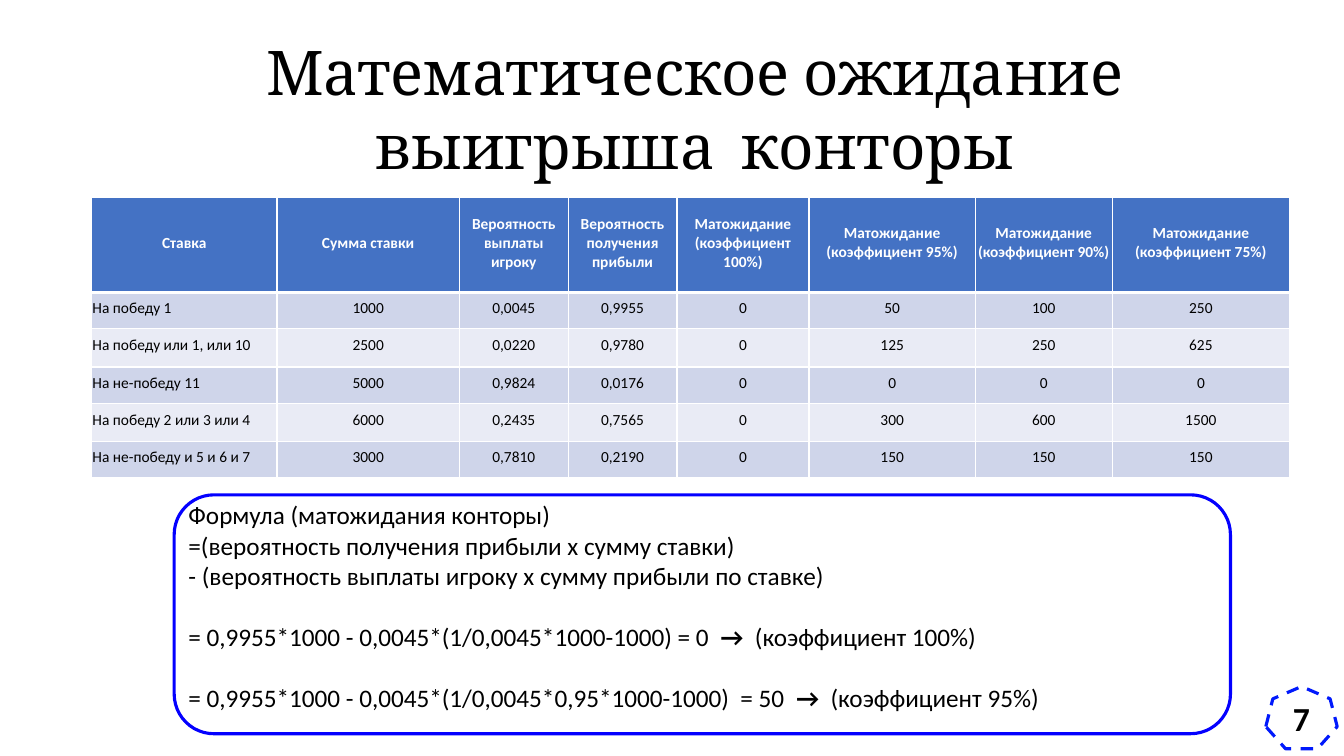
from lxml.etree import SubElement
from pptx import Presentation
from pptx.dml.color import RGBColor
from pptx.enum.dml import MSO_LINE
from pptx.enum.shapes import MSO_SHAPE
from pptx.enum.text import MSO_ANCHOR, PP_ALIGN
from pptx.oxml.ns import qn
from pptx.util import Cm, Pt

BLACK = RGBColor(0x00, 0x00, 0x00)
WHITE = RGBColor(0xFF, 0xFF, 0xFF)
HEADER_BLUE = RGBColor(0x44, 0x72, 0xC4)
BAND_DARK = RGBColor(0xCF, 0xD5, 0xEA)
BAND_LIGHT = RGBColor(0xE9, 0xEB, 0xF5)
FRAME_BLUE = RGBColor(0x04, 0x00, 0xFF)
BADGE_BLUE = RGBColor(0x00, 0x19, 0xFC)

COLUMN_WIDTHS = [4.67, 4.6, 2.74, 2.74, 3.33, 4.19, 3.45, 4.47]
ROW_HEIGHTS = [2.39, 0.91, 0.97, 0.91, 0.97, 0.91]
HEADERS = [
    "Ставка",
    "Сумма ставки",
    "Вероятность\nвыплаты игроку",
    "Вероятность\nполучения прибыли",
] + [f"Матожидание\n(коэффициент {rate}%)" for rate in (100, 95, 90, 75)]
BETS = [
    ["На победу 1", "1000", "0,0045", "0,9955", "0", "50", "100", "250"],
    ["На победу или 1, или 10", "2500", "0,0220", "0,9780", "0", "125", "250", "625"],
    ["На не-победу 11", "5000", "0,9824", "0,0176", "0", "0", "0", "0"],
    ["На победу 2 или 3 или 4", "6000", "0,2435", "0,7565", "0", "300", "600", "1500"],
    ["На не-победу и 5 и 6 и 7", "3000", "0,7810", "0,2190", "0", "150", "150", "150"],
]
FORMULA_LINES = [
    (0, ["Формула (матожидания конторы)"]),
    (0, ["=(вероятность получения прибыли x сумму ставки) "]),
    (0, ["- (вероятность выплаты игроку x сумму прибыли по ставке)"]),
    (22, ["= 0,9955*1000 - 0,0045*(1/0,0045*1000-1000) = 0  ", "→ ", " (коэффициент 100%)"]),
    (22, ["= 0,9955*1000 - 0,0045*(1/0,0045*0,95*1000-1000)  = 50  ", "→", "  (коэффициент 95%)"]),
]


def style_paragraph(paragraph, size, name="Calibri", color=BLACK, bold=None,
                    align=PP_ALIGN.LEFT):
    paragraph.alignment = align
    font = paragraph.font
    font.size, font.name, font.bold = Pt(size), name, bold
    font.color.rgb = color


def add_outlined_shape(page, kind, left, top, width, height, color):
    shape = page.shapes.add_shape(kind, Cm(left), Cm(top), Cm(width), Cm(height))
    shape.shadow.inherit = False
    shape.fill.solid()
    shape.fill.fore_color.rgb = WHITE
    shape.line.color.rgb = color
    shape.line.width = Pt(2.25)
    return shape


def set_title(page, text):
    title = page.shapes.title
    title.left, title.top, title.width, title.height = Cm(4.6), Cm(0.74), Cm(25.83), Cm(4.01)
    title.text_frame.vertical_anchor = MSO_ANCHOR.TOP
    paragraph = title.text_frame.paragraphs[0]
    paragraph.text = text
    style_paragraph(paragraph, 44, "Cambria", align=PP_ALIGN.CENTER)


def set_border(cell, side, points):
    line = SubElement(cell._tc.get_or_add_tcPr(), qn(f"a:ln{side}"), w=str(Pt(points)))
    fill = SubElement(line, qn("a:solidFill"))
    SubElement(fill, qn("a:srgbClr"), val=str(WHITE))


def fill_cell(cell, text, row, column):
    is_header = row == 0
    cell.margin_left = cell.margin_right = cell.margin_top = Cm(0.02)
    cell.margin_bottom = Cm(0.13)
    cell.vertical_anchor = MSO_ANCHOR.MIDDLE
    paragraph = cell.text_frame.paragraphs[0]
    paragraph.text = text
    align = PP_ALIGN.LEFT if column == 0 and not is_header else PP_ALIGN.CENTER
    style_paragraph(paragraph, 11, color=WHITE if is_header else BLACK,
                    bold=is_header, align=align)
    for side in "LR":
        set_border(cell, side, 1)
    set_border(cell, "T", 3 if row == 1 else 1)
    set_border(cell, "B", 3 if is_header else 1)
    cell.fill.solid()
    band = BAND_DARK if row % 2 else BAND_LIGHT
    cell.fill.fore_color.rgb = HEADER_BLUE if is_header else band


def add_bets_table(page):
    rows = [HEADERS] + BETS
    table = page.shapes.add_table(
        len(rows), len(HEADERS), Cm(2.31), Cm(4.98),
        Cm(sum(COLUMN_WIDTHS)), Cm(sum(ROW_HEIGHTS))).table
    for column, width in zip(table.columns, COLUMN_WIDTHS):
        column.width = Cm(width)
    for table_row, height in zip(table.rows, ROW_HEIGHTS):
        table_row.height = Cm(height)
    for row, values in enumerate(rows):
        for column, text in enumerate(values):
            fill_cell(table.cell(row, column), text, row, column)


def add_formula(page):
    box = page.shapes.add_textbox(Cm(4.5), Cm(12.47), Cm(26.8), Cm(5.64))
    frame = box.text_frame
    frame.word_wrap = True
    for index, (gap, pieces) in enumerate(FORMULA_LINES):
        paragraph = frame.add_paragraph() if index else frame.paragraphs[0]
        style_paragraph(paragraph, 18)
        paragraph.space_before = Pt(gap)
        for piece in pieces:
            span = paragraph.add_run()
            span.text = piece
            if "→" in piece:
                span.font.bold = True


def add_page_number(page, number):
    badge = add_outlined_shape(page, MSO_SHAPE.HEPTAGON, 31.9, 17.3, 1.8, 1.57, BADGE_BLUE)
    badge.line.dash_style = MSO_LINE.DASH
    frame = badge.text_frame
    frame.vertical_anchor = MSO_ANCHOR.MIDDLE
    paragraph = frame.paragraphs[0]
    paragraph.text = number
    style_paragraph(paragraph, 24, bold=True, align=PP_ALIGN.CENTER)


def main():
    deck = Presentation()
    deck.slide_width, deck.slide_height = Cm(33.87), Cm(19.05)
    page = deck.slides.add_slide(deck.slide_layouts[5])
    add_outlined_shape(page, MSO_SHAPE.ROUNDED_RECTANGLE, 4.39, 12.47, 26.62, 6.02, FRAME_BLUE)
    set_title(page, "Математическое ожидание выигрыша  конторы")
    add_formula(page)
    add_bets_table(page)
    add_page_number(page, "7")
    deck.save("out.pptx")


if __name__ == "__main__":
    main()
